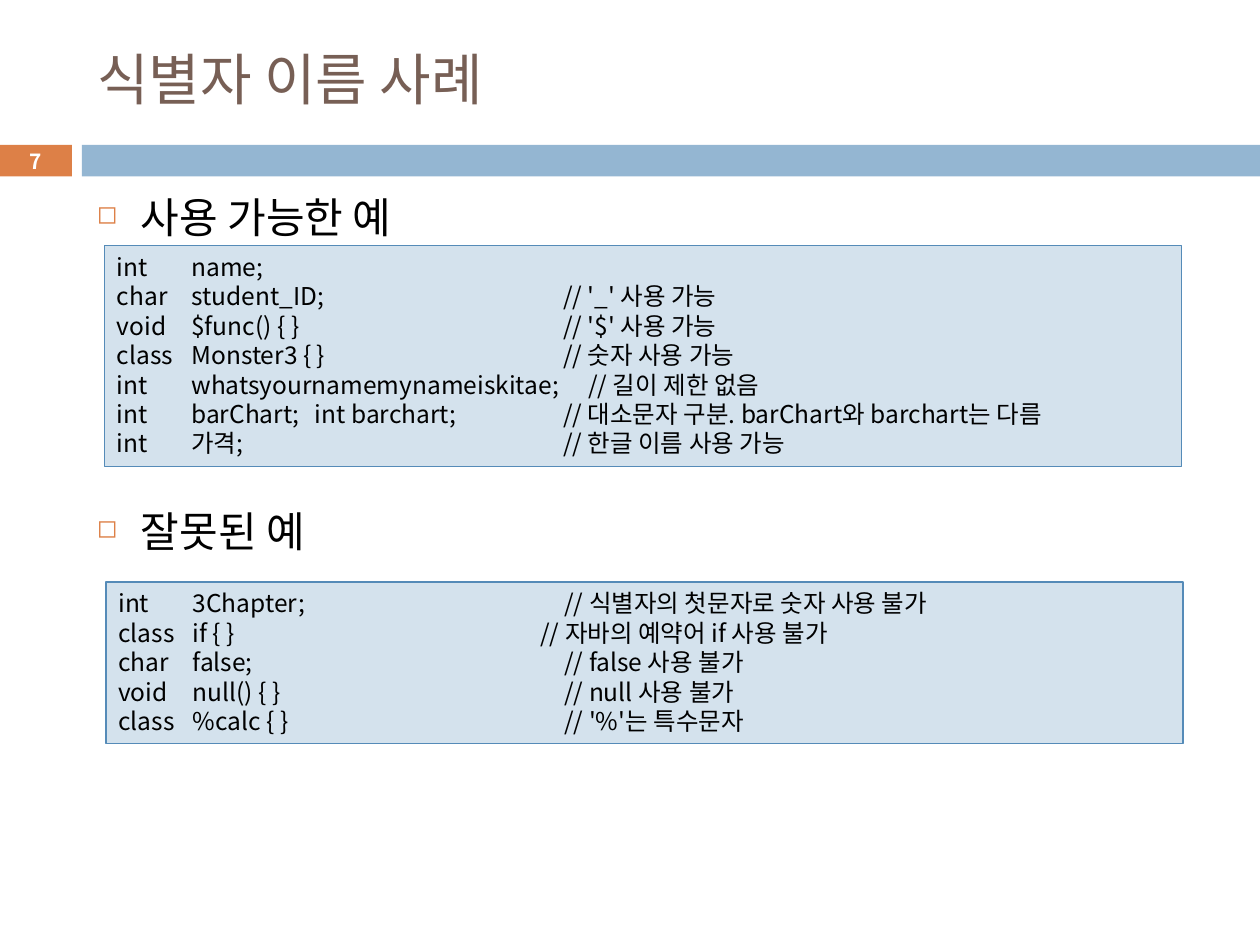
from dataclasses import dataclass

from lxml.etree import SubElement
from pptx import Presentation
from pptx.dml.color import RGBColor
from pptx.enum.shapes import MSO_SHAPE
from pptx.enum.text import MSO_ANCHOR, PP_ALIGN
from pptx.oxml.ns import qn
from pptx.shapes.autoshape import Shape
from pptx.slide import Slide
from pptx.text.text import TextFrame, _Paragraph
from pptx.util import Inches, Pt

FONT = "Noto Sans CJK KR"
ORANGE = "DD8047"
NAME_STOP = 0.59
COMMENT_STOP = 3.54
STOPS = (NAME_STOP, COMMENT_STOP)


@dataclass(frozen=True)
class Box:
    left: float
    top: float
    width: float
    height: float

    def lengths(self) -> list[int]:
        return [Inches(value) for value in (self.left, self.top, self.width, self.height)]


@dataclass(frozen=True)
class CodeLine:
    cells: tuple[str, ...]
    stops: tuple[float, ...] = STOPS


@dataclass(frozen=True)
class CodePanel:
    box: Box
    lines: tuple[CodeLine, ...]


@dataclass(frozen=True)
class Bullet:
    text: str
    space_before: float


VALID_NAMES = CodePanel(Box(0.83, 1.95, 8.55, 1.75), (
    CodeLine(("int", "name;")),
    CodeLine(("char", "student_ID;", "// '_' 사용 가능")),
    CodeLine(("void", "$func() { }", "// '$' 사용 가능")),
    CodeLine(("class", "Monster3 { }", "// 숫자 사용 가능")),
    CodeLine(("int", "whatsyournamemynameiskitae;", "// 길이 제한 없음"), (NAME_STOP, 3.74)),
    CodeLine(("int", "barChart;", "int barchart;", "// 대소문자 구분. barChart와 barchart는 다름"),
             (NAME_STOP, 1.57, COMMENT_STOP)),
    CodeLine(("int", "가격;", "// 한글 이름 사용 가능")),
))
INVALID_NAMES = CodePanel(Box(0.84, 4.62, 8.55, 1.28), (
    CodeLine(("int", "3Chapter;", "// 식별자의 첫문자로 숫자 사용 불가")),
    CodeLine(("class", "if { }", "// 자바의 예약어 if 사용 불가"), (NAME_STOP, 3.35)),
    CodeLine(("char", "false;", "// false 사용 불가")),
    CodeLine(("void", "null() { }", "// null 사용 불가")),
    CodeLine(("class", "%calc { }", "// '%'는 특수문자")),
))
BULLETS = (Bullet("사용 가능한 예", 0), Bullet("잘못된 예", 150.6))


def color(value: str) -> RGBColor:
    return RGBColor.from_string(value)


def set_attributes(target: object, values: dict[str, object]) -> None:
    for name, value in values.items():
        setattr(target, name, value)


def write_text(paragraph: _Paragraph, text: str, size: float, text_color: str, bold: bool = False) -> None:
    run = paragraph.add_run()
    run.text = text
    set_attributes(run.font, {"name": FONT, "size": Pt(size), "bold": bold})
    run.font.color.rgb = color(text_color)
    SubElement(run.font._element, qn("a:ea"), typeface=FONT)


def next_paragraph(frame: TextFrame, index: int) -> _Paragraph:
    return frame.add_paragraph() if index else frame.paragraphs[0]


def add_rectangle(slide: Slide, box: Box, fill: str, line: str | None = None) -> Shape:
    shape = slide.shapes.add_shape(MSO_SHAPE.RECTANGLE, *box.lengths())
    shape.shadow.inherit = False
    shape.fill.solid()
    shape.fill.fore_color.rgb = color(fill)
    if line:
        shape.line.color.rgb = color(line)
        shape.line.width = Pt(0.75)
    else:
        shape.line.fill.background()
    return shape


def add_header(slide: Slide) -> None:
    title = slide.shapes.title
    box = Box(0.67, 0.25, 8.92, 0.74)
    set_attributes(title, dict(zip(("left", "top", "width", "height"), box.lengths())))
    title.text_frame.vertical_anchor = MSO_ANCHOR.MIDDLE
    paragraph = title.text_frame.paragraphs[0]
    paragraph.alignment = PP_ALIGN.LEFT
    write_text(paragraph, "식별자 이름 사례", 32, "775F55")

    add_rectangle(slide, Box(0.65, 1.15, 9.35, 0.25), "94B6D2")
    number = add_rectangle(slide, Box(-0.01, 1.15, 0.58, 0.25), ORANGE)
    set_attributes(number.text_frame, {
        "margin_top": 0, "margin_bottom": 0, "vertical_anchor": MSO_ANCHOR.MIDDLE,
    })
    paragraph = number.text_frame.paragraphs[0]
    paragraph.alignment = PP_ALIGN.CENTER
    write_text(paragraph, "7", 11.9, "FFFFFF", bold=True)


def add_bullets(slide: Slide, bullets: tuple[Bullet, ...]) -> None:
    frame = slide.shapes.add_textbox(*Box(0.67, 1.47, 8.92, 5.51).lengths()).text_frame
    frame.word_wrap = True
    for index, bullet in enumerate(bullets):
        paragraph = next_paragraph(frame, index)
        set_attributes(paragraph, {"line_spacing": Pt(28.8), "space_before": Pt(bullet.space_before)})
        properties = paragraph._p.get_or_add_pPr()
        properties.set("marL", str(Inches(0.35)))
        properties.set("indent", str(Inches(-0.35)))
        bullet_color = SubElement(properties, qn("a:buClr"))
        SubElement(bullet_color, qn("a:srgbClr"), val=ORANGE)
        SubElement(properties, qn("a:buSzPct"), val="60000")
        SubElement(properties, qn("a:buChar"), char="◻")
        write_text(paragraph, bullet.text, 24, "000000")


def add_code_panel(slide: Slide, panel: CodePanel) -> None:
    frame = add_rectangle(slide, panel.box, "D4E2ED", "558BB8").text_frame
    set_attributes(frame, {"word_wrap": True, "vertical_anchor": MSO_ANCHOR.TOP})
    for index, line in enumerate(panel.lines):
        paragraph = next_paragraph(frame, index)
        set_attributes(paragraph, {"alignment": PP_ALIGN.LEFT, "line_spacing": Pt(16.8)})
        tabs = SubElement(paragraph._p.get_or_add_pPr(), qn("a:tabLst"))
        for stop in line.stops:
            SubElement(tabs, qn("a:tab"), pos=str(Inches(stop)), algn="l")
        write_text(paragraph, "\t".join(line.cells), 14, "000000")


def main() -> None:
    """Build the slide on valid and invalid identifier names."""
    presentation = Presentation()
    set_attributes(presentation, {"slide_width": Inches(10), "slide_height": Inches(7.5)})
    slide = presentation.slides.add_slide(presentation.slide_layouts[5])
    add_header(slide)
    add_bullets(slide, BULLETS)
    for panel in (VALID_NAMES, INVALID_NAMES):
        add_code_panel(slide, panel)
    presentation.save("out.pptx")


if __name__ == "__main__":
    main()
